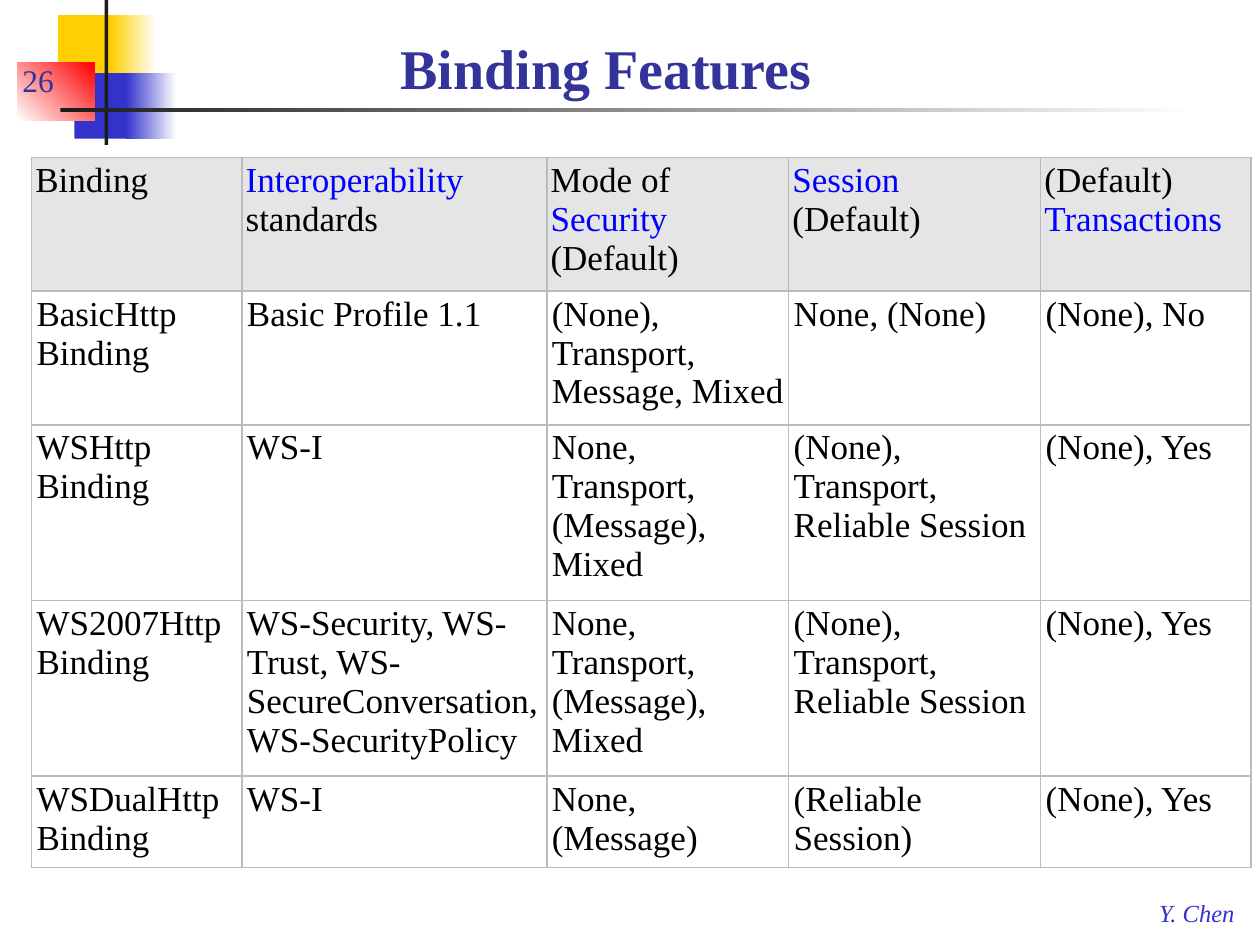
"""Build the Binding Features slide."""
import pptx
import pptx.dml.color
import pptx.enum.shapes
import pptx.enum.text
import pptx.oxml
import pptx.oxml.ns
import pptx.util

THEME = {
    "font": "Times New Roman",
    "gold": "FFCF01", "blue": "3333CC", "red": "FF0000", "dark": "1C1C1C",
    "white": "FFFFFF", "title": "333399", "text": "000000", "accent": "0000FF",
    "header": "E5E5E5", "border": "BBBBBB",
    "title_size": 32, "table_size": 20, "number_size": 18, "author_size": 14,
}
DECORATION = [
    ((0.46, 0.12, 0.48, 0.52), ("gold",), 0),
    ((0.88, 0.12, 0.36, 0.52), ("gold", "white"), 0),
    ((0.59, 0.58, 0.46, 0.52), ("blue",), 0),
    ((1, 0.58, 0.4, 0.52), ("blue", "white"), 0),
    ((0.14, 0.5, 0.61, 0.46), ("white", "red"), 45),
    ((0.83, 0, 0.03, 1.15), ("dark",), 0),
    ((0.48, 0.86, 9, 0.03), ("dark", "white"), 0),
]
LABELS = [
    ("Y. Chen", (9.1, 7.08, 0.82, 0.33), "author_size", "blue", {"italic": True}, False),
    ("Binding Features", (3.08, 0.17, 6.83, 0.68), "title_size", "title", {"bold": True}, True),
    ("26", (0.08, 0.33, 0.75, 0.5), "number_size", "title", {}, True),
]
HEADER = [
    [("Binding", "text")],
    [("Interoperability", "accent"), (" standards", "text")],
    [("Mode of ", "text"), ("Security", "accent"), (" (Default)", "text")],
    [("Session ", "accent"), ("\n", "text"), ("(Default)", "text")],
    [("(Default) ", "text"), ("Transactions", "accent")],
]
SECURITY = "None, Transport, (Message), Mixed"
SESSION = "(None), Transport, Reliable Session"
BINDINGS = [
    ("BasicHttp Binding", "Basic Profile 1.1", "(None), Transport, Message, Mixed",
     "None, (None)", "(None), No"),
    ("WSHttp Binding", "WS-I", SECURITY, SESSION, "(None), Yes"),
    ("WS2007Http Binding",
     "WS-Security, WS-Trust, WS-SecureConversation, WS-SecurityPolicy",
     SECURITY, SESSION, "(None), Yes"),
    ("WSDualHttp Binding", "WS-I", "None, (Message)", "(Reliable Session)", "(None), Yes"),
]
TABLE_ORIGIN = (0.25, 1.25)
COLUMNS = [1.67, 2.42, 1.92, 2, 1.67]
ROWS = [1.05, 1.05, 1.39, 1.39, 0.72]
inch = pptx.util.Inches


def color(name):
    return pptx.dml.color.RGBColor.from_string(THEME[name])


def paint(fill, names, angle=0):
    if len(names) == 1:
        fill.solid()
        fill.fore_color.rgb = color(names[0])
        return
    fill.gradient()
    fill.gradient_angle = angle
    for stop, name in zip(fill.gradient_stops, names):
        stop.color.rgb = color(name)


def style(font, size, name=None):
    font.name = THEME["font"]
    font.size = pptx.util.Pt(THEME[size])
    if name:
        font.color.rgb = color(name)


def add_decoration(page, place, names, angle):
    kind = pptx.enum.shapes.MSO_SHAPE.RECTANGLE
    box = page.shapes.add_shape(kind, *map(inch, place))
    box.shadow.inherit = False
    box.line.fill.background()
    paint(box.fill, names, angle)


def add_label(page, text, place, size, name, emphasis, block):
    frame = page.shapes.add_textbox(*map(inch, place)).text_frame
    frame.word_wrap = block
    if block:
        frame.vertical_anchor = pptx.enum.text.MSO_ANCHOR.BOTTOM
    para = frame.paragraphs[0]
    para.text = text
    style(para.font, size, name)
    for key, value in emphasis.items():
        setattr(para.font, key, value)


def add_borders(cell):
    properties = cell._tc.get_or_add_tcPr()
    for position, side in enumerate(("lnL", "lnR", "lnT", "lnB")):
        properties.insert(position, pptx.oxml.parse_xml(
            f'<a:{side} {pptx.oxml.ns.nsdecls("a")} w="12700"><a:solidFill>'
            f'<a:srgbClr val="{THEME["border"]}"/></a:solidFill></a:{side}>'))


def fill_cell(cell, spans, is_header):
    paint(cell.fill, ("header" if is_header else "white",))
    add_borders(cell)
    cell.margin_left = cell.margin_right = inch(0.03)
    cell.margin_top = cell.margin_bottom = inch(0.03)
    para = cell.text_frame.paragraphs[0]
    style(para.font, "table_size")
    if not is_header:
        para.space_after = pptx.util.Pt(10)
        para._p.get_or_add_pPr().set("marL", str(inch(0.01)))
    for text, name in spans:
        if text == "\n":
            para.add_line_break()
            continue
        span = para.add_run()
        span.text = text
        style(span.font, "table_size", name)


def add_binding_table(page):
    rows = [HEADER] + [[[(text, "text")] for text in row] for row in BINDINGS]
    size = (sum(COLUMNS), sum(ROWS))
    table = page.shapes.add_table(
        len(ROWS), len(COLUMNS), *map(inch, TABLE_ORIGIN + size)).table
    for column, width in zip(table.columns, COLUMNS):
        column.width = inch(width)
    for number, (row, height) in enumerate(zip(rows, ROWS)):
        table.rows[number].height = inch(height)
        for cell, spans in zip(table.rows[number].cells, row):
            fill_cell(cell, spans, number == 0)


deck = pptx.Presentation()
deck.slide_width, deck.slide_height = inch(10), inch(7.5)
page = deck.slides.add_slide(deck.slide_layouts[6])
for decoration in DECORATION:
    add_decoration(page, *decoration)
for label in LABELS:
    add_label(page, *label)
add_binding_table(page)
deck.save("out.pptx")
